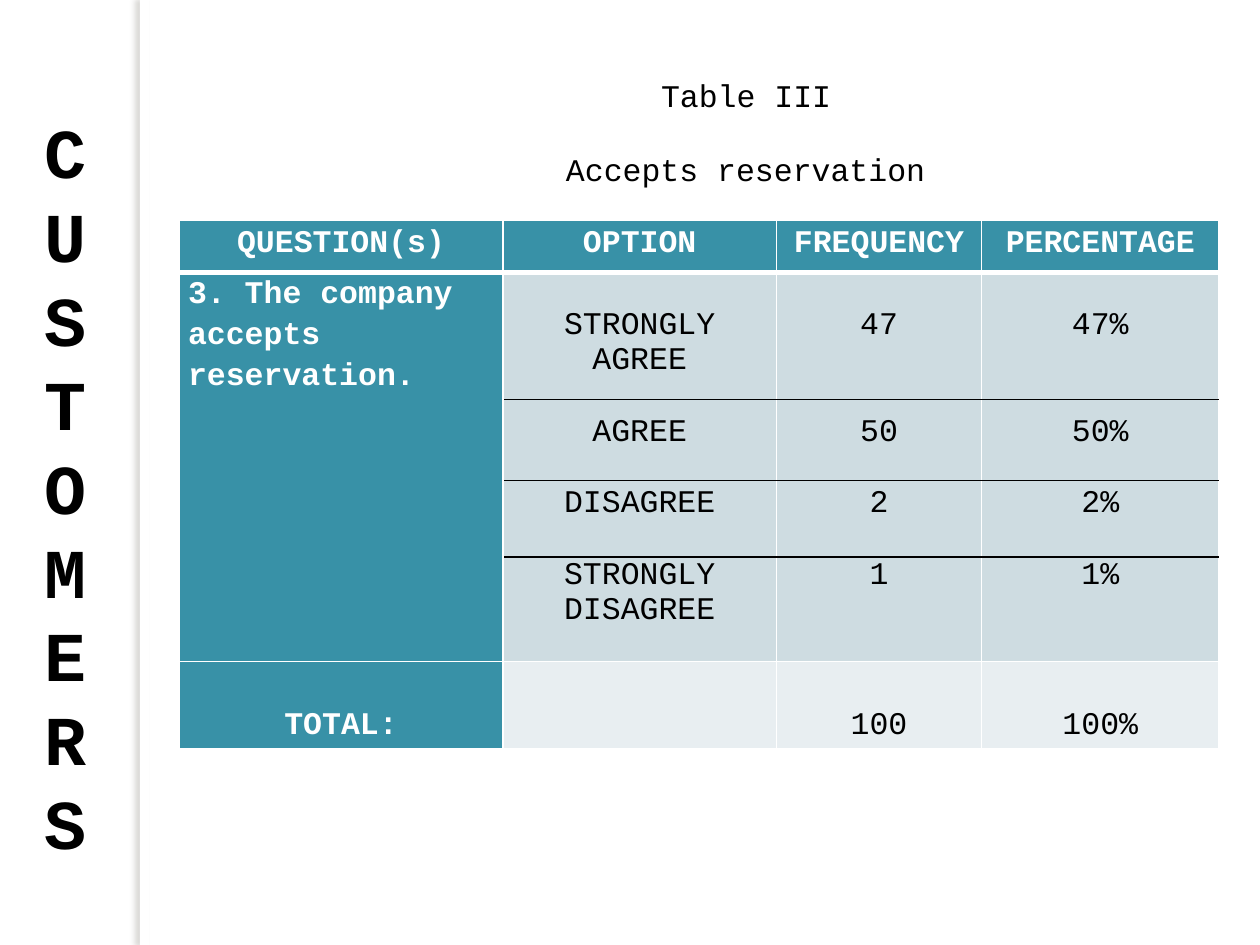
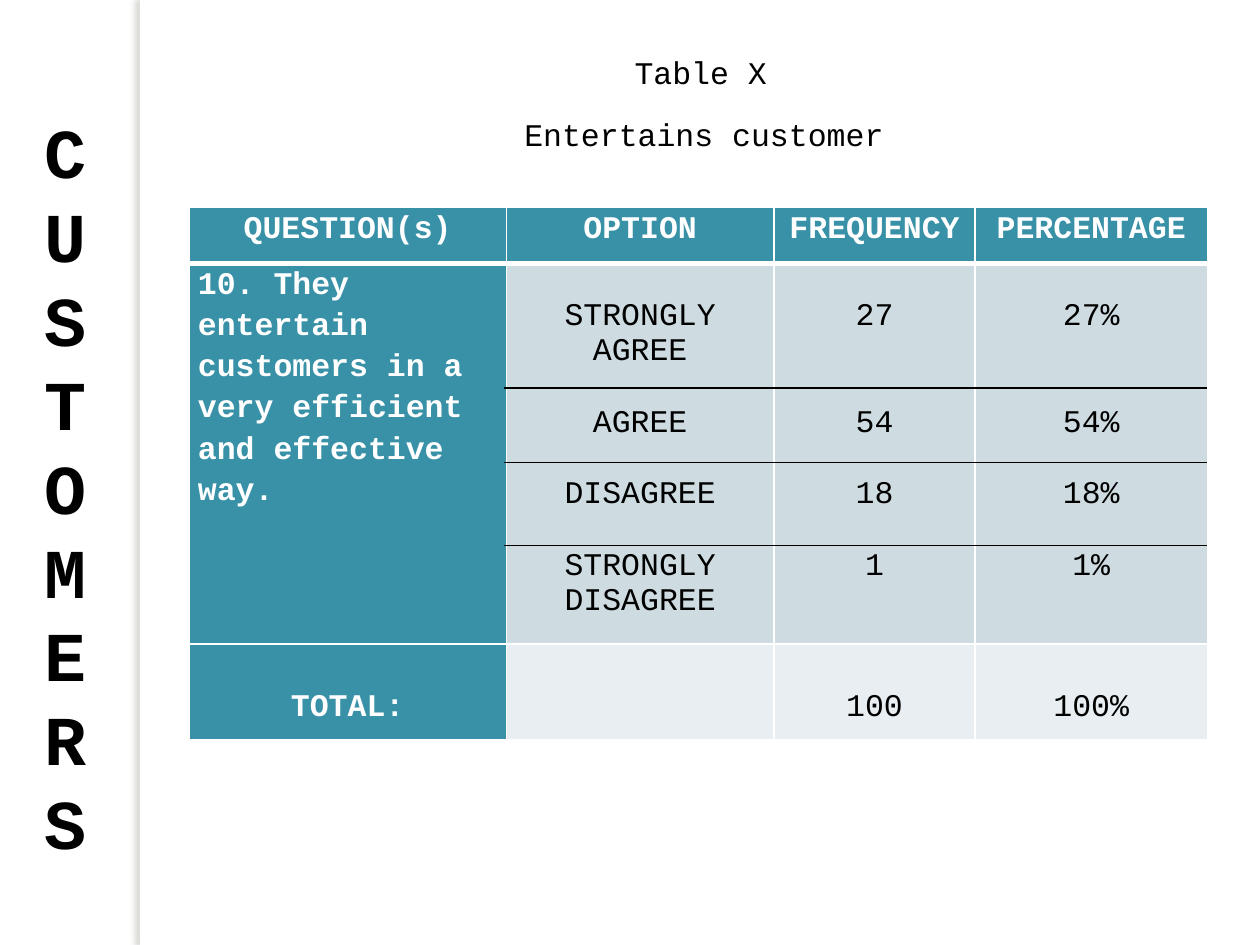
import dataclasses

import pptx
import pptx.dml.color
import pptx.enum.shapes
import pptx.enum.text
import pptx.oxml
import pptx.oxml.ns
import pptx.util
from pptx.util import Cm, Pt

ALIGN = pptx.enum.text.PP_ALIGN
ANCHOR = pptx.enum.text.MSO_ANCHOR
NAMESPACE = pptx.oxml.ns.nsdecls("a")


@dataclasses.dataclass(frozen=True)
class Theme:
    font: str = "Courier New"
    body_size: float = 18
    side_size: float = 40
    side_pitch: float = 48
    line_height: float = 20.4  # one line of body text, in points
    loose: float = 1.15  # line spacing of header, question and total
    black: str = "000000"
    white: str = "FFFFFF"
    teal: str = "3891A7"
    band: str = "CEDCE1"
    pale: str = "E8EEF1"
    shadow: str = "736F63"


@dataclasses.dataclass(frozen=True)
class Survey:
    """One question with its answers; lengths are in centimetres."""
    number: str
    topic: str
    question: str
    counts: tuple
    title_at: tuple
    topic_at: tuple
    table_at: tuple
    table_width: float
    row_heights: tuple
    rule_tops: tuple


OPTIONS = ("STRONGLY AGREE", "AGREE", "DISAGREE", "STRONGLY DISAGREE")
HEADERS = ("QUESTION(s)", "OPTION", "FREQUENCY", "PERCENTAGE")
COLUMN_WEIGHTS = (6.53, 5.51, 4.14, 4.78)
RULE_LEFT = 10.16

SURVEYS = (
    Survey("Table III", "Accepts reservation",
           "3. The company accepts reservation.", (47, 50, 2, 1),
           (13.06, 1.4, 3.96, 1.02), (11.13, 2.41, 7.8, 1.5),
           (3.61, 4.45), 20.96, (1.04, 7.85, 1.75), (8.05, 9.68, 11.23)),
    Survey("Table X", "Entertains customer",
           "10. They entertain customers in a very efficient and effective way.",
           (27, 54, 18, 1),
           (5.97, 0.94, 16.31, 1.02), (5.72, 2.18, 16.94, 1.02),
           (3.81, 4.17), 20.53, (1.14, 7.67, 1.93), (7.82, 9.32, 11)),
)


def rgb(value):
    return pptx.dml.color.RGBColor.from_string(value)


class SurveyDeck:
    def __init__(self, theme):
        self.theme = theme
        self.deck = pptx.Presentation()
        self.deck.slide_width, self.deck.slide_height = Cm(25.4), Cm(19.05)
        self.layout = self.deck.slide_layouts.get_by_name("Title Only")
        self.page = None

    def add_page(self):
        self.page = self.deck.slides.add_slide(self.layout)

    def set_text(self, frame, lines, size=None, color=None, bold=False,
                 align=ALIGN.CENTER, spacing=None, gaps=None):
        """Fill a frame, one paragraph a line; gaps are points above each."""
        frame.text = "\n".join(lines)
        for index, para in enumerate(frame.paragraphs):
            para.alignment = align
            para.line_spacing = spacing
            para.space_before = Pt(gaps[index] if gaps else 0)
            for span in para.runs:
                span.font.name = self.theme.font
                span.font.size = Pt(size or self.theme.body_size)
                span.font.bold = bold
                span.font.color.rgb = rgb(color or self.theme.black)

    def side_band(self):
        """Thin white strip that casts a soft shadow to the left."""
        band = self.page.shapes.add_shape(
            pptx.enum.shapes.MSO_SHAPE.RECTANGLE,
            Cm(2.82), 0, Cm(0.2), self.deck.slide_height)
        band.fill.solid()
        band.fill.fore_color.rgb = rgb(self.theme.white)
        band.line.fill.background()
        band.shadow.inherit = False
        effects = band.element.spPr.find(pptx.oxml.ns.qn("a:effectLst"))
        effects.append(pptx.oxml.parse_xml(
            f'<a:outerShdw {NAMESPACE} blurRad="{Pt(3)}" dist="{Pt(3)}" '
            f'dir="10800000" algn="tl" rotWithShape="0">'
            f'<a:srgbClr val="{self.theme.shadow}"><a:alpha val="25000"/>'
            f'</a:srgbClr></a:outerShdw>'))

    def side_word(self, word):
        box = self.page.shapes.add_textbox(
            Cm(0.64), Cm(1.9), Cm(1.27), Cm(15.65))
        frame = box.text_frame
        frame.word_wrap = True
        frame.margin_top = Cm(0.28)
        self.set_text(frame, word, self.theme.side_size, bold=True,
                      align=ALIGN.LEFT, spacing=Pt(self.theme.side_pitch))

    def caption(self, shape, text, place):
        shape.left, shape.top, shape.width, shape.height = map(Cm, place)
        frame = shape.text_frame
        frame.word_wrap = False
        frame.auto_size = pptx.enum.text.MSO_AUTO_SIZE.NONE
        frame.vertical_anchor = ANCHOR.BOTTOM
        self.set_text(frame, [text])

    def title(self, text, place):
        self.caption(self.page.shapes.title, text, place)

    def subtitle(self, text, place):
        self.caption(self.page.shapes.add_textbox(0, 0, 0, 0), text, place)

    def style_cell(self, cell, fill, top=1, bottom=1):
        """White borders (widths in points), flat fill and narrow margins."""
        properties = cell._tc.get_or_add_tcPr()
        for side, width in (("L", 1), ("R", 1), ("T", top), ("B", bottom)):
            properties.append(pptx.oxml.parse_xml(
                f'<a:ln{side} {NAMESPACE} w="{Pt(width)}"><a:solidFill>'
                f'<a:srgbClr val="{self.theme.white}"/></a:solidFill>'
                f'</a:ln{side}>'))
        cell.fill.solid()
        cell.fill.fore_color.rgb = rgb(fill)
        cell.margin_left = cell.margin_right = Cm(0.18)
        cell.margin_top = cell.margin_bottom = 0

    def table(self, survey):
        theme = self.theme
        left, top = survey.table_at
        table = self.page.shapes.add_table(
            3, 4, Cm(left), Cm(top), Cm(survey.table_width),
            Cm(sum(survey.row_heights))).table
        table.first_row = table.horz_banding = False
        for column, weight in zip(table.columns, COLUMN_WEIGHTS):
            column.width = Cm(
                survey.table_width * weight / sum(COLUMN_WEIGHTS))
        for row, height in zip(table.rows, survey.row_heights):
            row.height = Cm(height)

        # Fills and borders: teal header row and first column
        for column in range(4):
            first = column == 0
            self.style_cell(table.cell(0, column), theme.teal, bottom=3)
            self.style_cell(table.cell(1, column),
                            theme.teal if first else theme.band, top=3)
            self.style_cell(table.cell(2, column),
                            theme.teal if first else theme.pale)

        # Header and question
        strong = {"color": theme.white, "bold": True, "spacing": theme.loose}
        for column, header in enumerate(HEADERS):
            self.set_text(table.cell(0, column).text_frame, [header], **strong)
        self.set_text(table.cell(1, 0).text_frame, [survey.question],
                      align=ALIGN.LEFT, **strong)

        # Answers: the first option takes two lines, so its figures skip one
        line = theme.line_height
        answers = (OPTIONS, [f"{count}" for count in survey.counts],
                   [f"{count}%" for count in survey.counts])
        for column, lines in enumerate(answers, start=1):
            cell = table.cell(1, column)
            cell.margin_top = Pt(line)
            second = line if column == 1 else 2 * line
            self.set_text(cell.text_frame, lines, gaps=(0, second, line, line))

        # Totals, one line below the top of the row
        total = sum(survey.counts)
        totals = {0: "TOTAL:", 2: f"{total}", 3: f"{total}%"}
        for column, text in totals.items():
            cell = table.cell(2, column)
            cell.margin_top = Pt(line * theme.loose)
            style = {"spacing": theme.loose} if column else strong
            self.set_text(cell.text_frame, [text], **style)

    def rule(self, left, right, top):
        line = self.page.shapes.add_connector(
            pptx.enum.shapes.MSO_CONNECTOR.STRAIGHT,
            Cm(left), Cm(top), Cm(right), Cm(top))
        line.line.color.rgb = rgb(self.theme.black)
        line.line.width = Pt(0.75)
        line.element.spPr.append(
            pptx.oxml.parse_xml(f"<a:effectLst {NAMESPACE}/>"))


survey_deck = SurveyDeck(Theme())
for survey in SURVEYS:
    survey_deck.add_page()
    survey_deck.side_band()
    survey_deck.side_word("CUSTOMERS")
    survey_deck.table(survey)
    # Rules between the answers
    for rule_top in survey.rule_tops:
        survey_deck.rule(RULE_LEFT, survey.table_at[0] + survey.table_width,
                         rule_top)
    survey_deck.title(survey.number, survey.title_at)
    survey_deck.subtitle(survey.topic, survey.topic_at)
survey_deck.deck.save("out.pptx")
